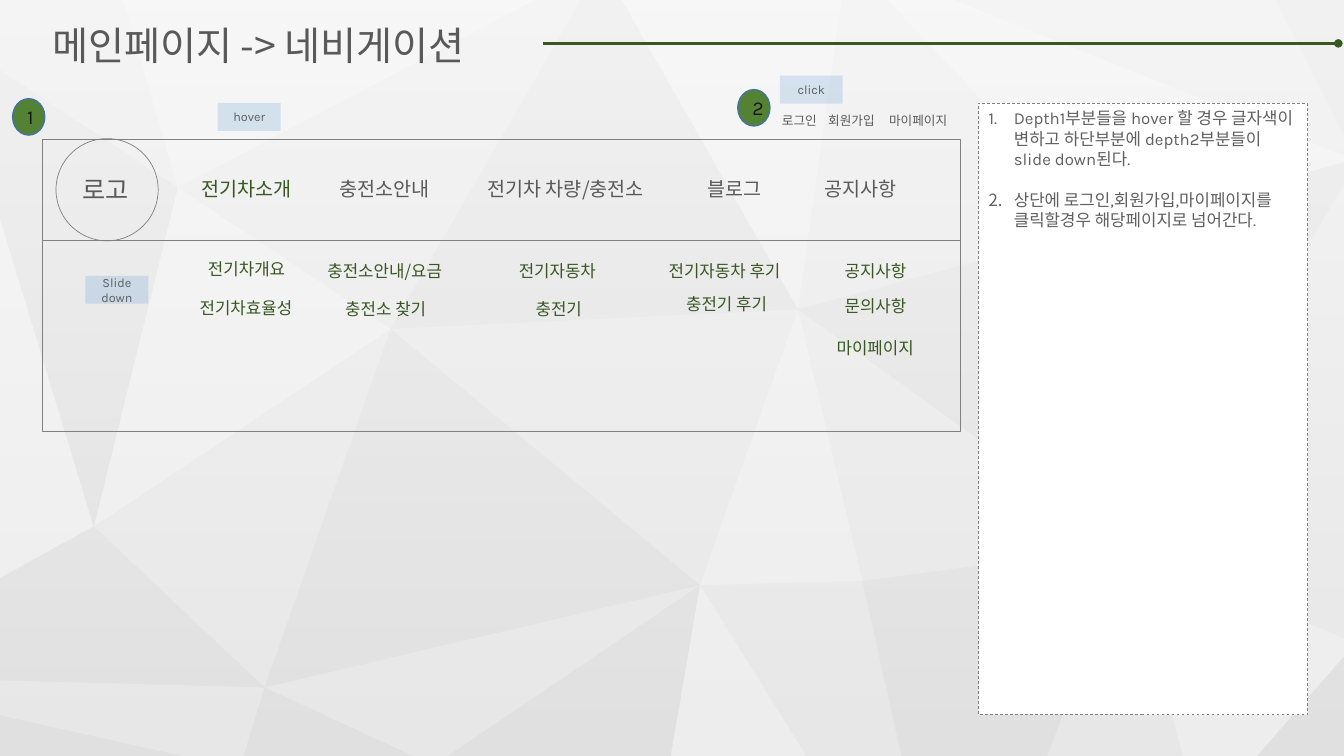
from pptx import Presentation
from pptx.util import Pt
from pptx.dml.color import RGBColor as Rgb
from pptx.enum.dml import MSO_LINE as Dash
from pptx.enum.shapes import MSO_SHAPE as Kind, MSO_CONNECTOR as Conn
from pptx.enum.text import MSO_ANCHOR as Anchor, MSO_AUTO_SIZE as Fit, PP_ALIGN as Align
from pptx.oxml.ns import qn
from lxml.etree import SubElement as Sub

HEX = {"base": "E7E7E7", "light": "EDEDED", "dark": "E0E0E0", "white": "FFFFFF",
       "gray": "595959", "note": "5F5F5F", "line": "808080", "green": "385723",
       "dot": "548235", "rim": "43739E", "tag": "5B9BD5", "ink": "181717"}
SANS, KARLA = "Noto Sans CJK KR", "Karla"

deck = Presentation()
deck.slide_width, deck.slide_height = Pt(960), Pt(540)
slide = deck.slides.add_slide(deck.slide_layouts[1])
shapes = slide.shapes


def write(frame, text, size=12, color="gray", font=SANS, align=Align.LEFT,
          anchor=Anchor.TOP, lead=1.2):
    frame.word_wrap = True
    frame.auto_size = Fit.NONE
    frame.vertical_anchor = anchor
    frame.text = text
    for para in frame.paragraphs:
        para.alignment = align
        para.line_spacing = Pt(round(size * lead, 1))
        for run in para.runs:
            run.font.size = Pt(size)
            run.font.name = font
            run.font.color.rgb = Rgb.from_string(HEX[color])
            Sub(run.font._element, qn("a:ea"), typeface=SANS)


def paint(shape, fill=None, line=None, width=0.5, alpha=None):
    shape.shadow.inherit = False
    if fill:
        shape.fill.solid()
        shape.fill.fore_color.rgb = Rgb.from_string(HEX[fill])
    else:
        shape.fill.background()
    if alpha:
        tint = shape._element.spPr.find(".//" + qn("a:srgbClr"))
        Sub(tint, qn("a:alpha"), val=str(alpha * 1000))
    if line:
        shape.line.color.rgb = Rgb.from_string(HEX[line])
        shape.line.width = Pt(width)
    else:
        shape.line.fill.background()
    return shape


# Faceted background: shared corners, then the facets of each shade
A, B, C, D = (500, 418), (570, 221), (616, 415), (805, 390)
E, F, G, H = (67, 376), (279, 235), (127, 134), (189, 491)
facets = {
    "light": [
        [A, (479, 540), (576, 540)],
        [B, A, C],
        [D, (845, 540), (898, 540), (960, 469), (960, 456)],
        [(0, 156), (0, 413), E],
        [(634, 0), (788, 163), (960, 116), (960, 111), (681, 0)],
        [E, F, G],
        [(88, 0), G, (382, 0)],
        [(444, 0), B, (601, 0)]],
    "dark": [
        [E, (0, 413), (0, 486), H],
        [H, (174, 540), (295, 540)],
        [(960, 469), (898, 540), (960, 540)],
        [(0, 511), (0, 540), (130, 540)],
        [D, C, (644, 540), (748, 540)],
        [A, (320, 540), (479, 540)],
        [(960, 116), B, D, (960, 132)],
        [A, F, H],
        [(911, 0), (960, 97), (960, 0)],
        [(0, 50), (0, 156), E, G],
        [(415, 0), F, B, (444, 0)]]}
paint(shapes.add_shape(Kind.RECTANGLE, 0, 0, Pt(960), Pt(540)), "base")
for shade, group in facets.items():
    for first, *rest in group:
        form = shapes.build_freeform(*first, scale=Pt(1))
        form.add_line_segments(rest)
        paint(form.convert_to_shape(), shade)

# White veil fading downwards
veil = paint(shapes.add_shape(Kind.RECTANGLE, 0, 0, Pt(960), Pt(540)))
veil.fill.gradient()
veil.fill.gradient_angle = 270
for stop, alpha in zip(veil.fill.gradient_stops, (60, 0)):
    stop.color.rgb = Rgb.from_string(HEX["white"])
    tint = stop._gs.find(qn("a:srgbClr"))
    Sub(tint, qn("a:alpha"), val=str(alpha * 1000))

# Title and its rule
title, notes = shapes.title, slide.placeholders[1]
for holder, (x, y, w, h) in ((title, (30, 11.5, 341, 41)), (notes, (699, 73.5, 235, 437))):
    holder.left, holder.top, holder.width, holder.height = Pt(x), Pt(y), Pt(w), Pt(h)
    shapes._spTree.append(holder._element)
write(title.text_frame, "메인페이지 -> 네비게이션", size=28)
rule = shapes.add_connector(Conn.STRAIGHT, Pt(388), Pt(31), Pt(956), Pt(31))
rule.line.color.rgb = Rgb.from_string(HEX["green"])
rule.line.width = Pt(2)
Sub(rule.line._get_or_add_ln(), qn("a:tailEnd"), type="oval")
Sub(rule._element.spPr, qn("a:effectLst"))

# Numbered notes
notes.fill.solid()
notes.fill.fore_color.rgb = Rgb.from_string(HEX["white"])
notes.line.color.rgb = Rgb.from_string(HEX["line"])
notes.line.width = Pt(0.5)
notes.line.dash_style = Dash.DASH
write(notes.text_frame,
      "Depth1부분들을 hover 할 경우 글자색이 변하고 하단부분에 depth2부분들이 slide down된다.\n"
      "상단에 로그인,회원가입,마이페이지를 클릭할경우 해당페이지로 넘어간다.",
      color="note", font=KARLA, lead=1.21)
for para, gap in zip(notes.text_frame.paragraphs, (0, 14.5)):
    para.space_before = Pt(gap)
    props = para._p.get_or_add_pPr()
    props.set("marL", str(Pt(18)))
    props.set("indent", str(Pt(-18)))
    Sub(props, qn("a:buFont"), typeface=KARLA)
    Sub(props, qn("a:buAutoNum"), type="arabicPeriod")

# Logo ring, menu bar and drop-down panel
for kind, x, y, w, h in ((Kind.OVAL, 40, 99, 73, 73),
                         (Kind.RECTANGLE, 30, 99.5, 656, 72.5),
                         (Kind.RECTANGLE, 30, 172, 656, 136.5)):
    paint(shapes.add_shape(kind, Pt(x), Pt(y), Pt(w), Pt(h)), line="line")

# Labels: text, left, top, width, size, colour
labels = [("로고", 52, 121, 51, 18, "gray"),
          ("로그인", 551.5, 77, 42, 9, "gray"),
          ("회원가입", 584.5, 77, 51, 9, "gray"),
          ("마이페이지", 628, 77, 60, 9, "gray")]
menu = [("전기차소개", 137, 85), ("충전소안내", 235.5, 85), ("전기차 차량/충전소", 341, 138),
        ("블로그", 498, 57), ("공지사항", 582, 71)]
for i, (text, x, w) in enumerate(menu):
    labels.append((text, x, 123, w, 14, "gray" if i else "green"))

# Drop-down items, centred on their column: text, top, width
drops = {179: [("전기차개요", 181.5, 75), ("전기차효율성", 209, 87)],
         279: [("충전소안내/요금", 183, 104.5), ("충전소 찾기", 209.5, 79)],
         401: [("전기자동차", 183, 75), ("충전기", 209.5, 51)],
         522.5: [("전기자동차 후기", 183, 104), ("충전기 후기", 206, 79)],
         628: [("공지사항", 183, 63.5), ("문의사항", 208, 63.5), ("마이페이지", 237.5, 75)]}
for mid, items in drops.items():
    for text, y, w in items:
        labels.append((text, mid - w / 2, y, w, 12, "green"))
for text, x, y, w, size, color in labels:
    box = shapes.add_textbox(Pt(x), Pt(y), Pt(w), Pt(size * 1.2 + 7.2))
    write(box.text_frame, text, size=size, color=color)

# Number badges and action tags
for text, x, y in (("1", 9, 70.5), ("2", 527, 64)):
    badge = shapes.add_shape(Kind.OVAL, Pt(x), Pt(y), Pt(23), Pt(26))
    paint(badge, "dot", "rim", 1)
    write(badge.text_frame, text, size=14, color="ink", font=KARLA,
          align=Align.CENTER, anchor=Anchor.MIDDLE)
for text, x, y in (("hover", 155.5, 73.5), ("Slide down", 61, 197), ("click", 557, 54)):
    tag = shapes.add_shape(Kind.RECTANGLE, Pt(x), Pt(y), Pt(45), Pt(20))
    paint(tag, "tag", alpha=22)
    write(tag.text_frame, text, size=9, color="note", font=KARLA,
          align=Align.CENTER, anchor=Anchor.MIDDLE)

deck.save("out.pptx")
